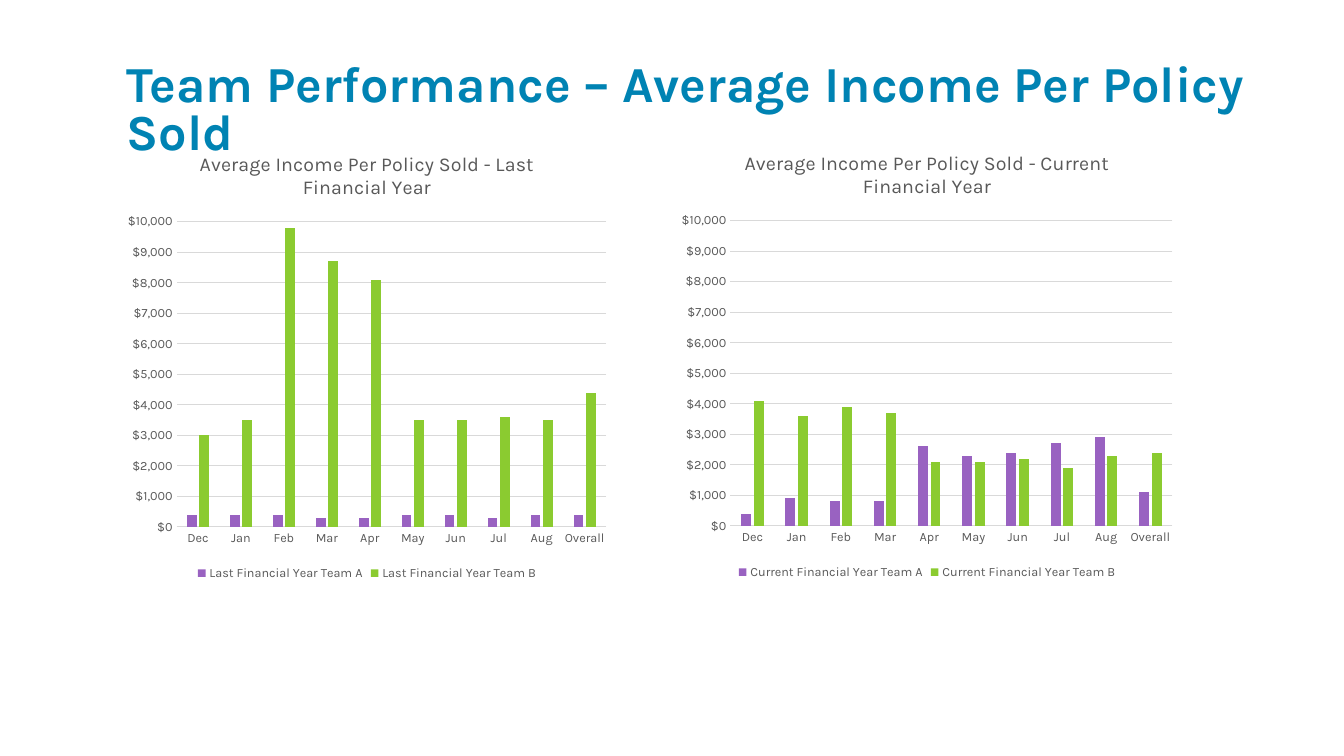
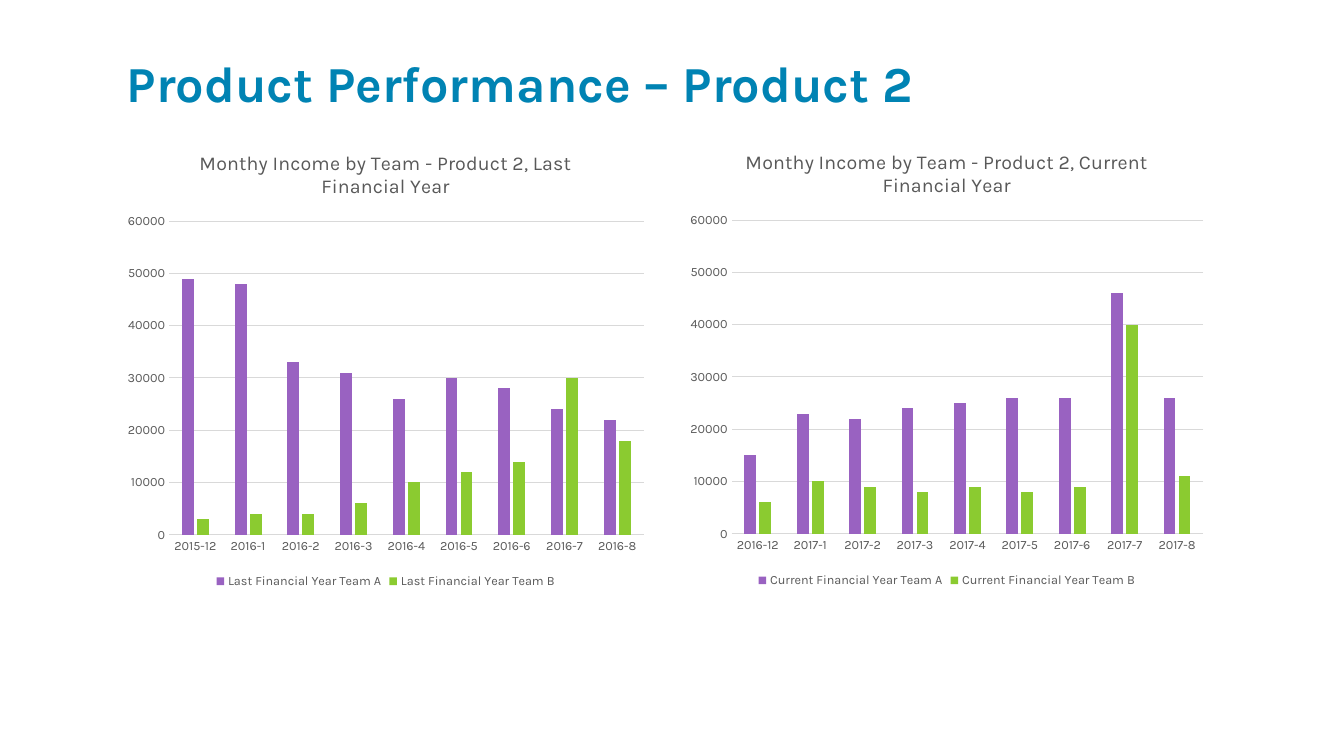
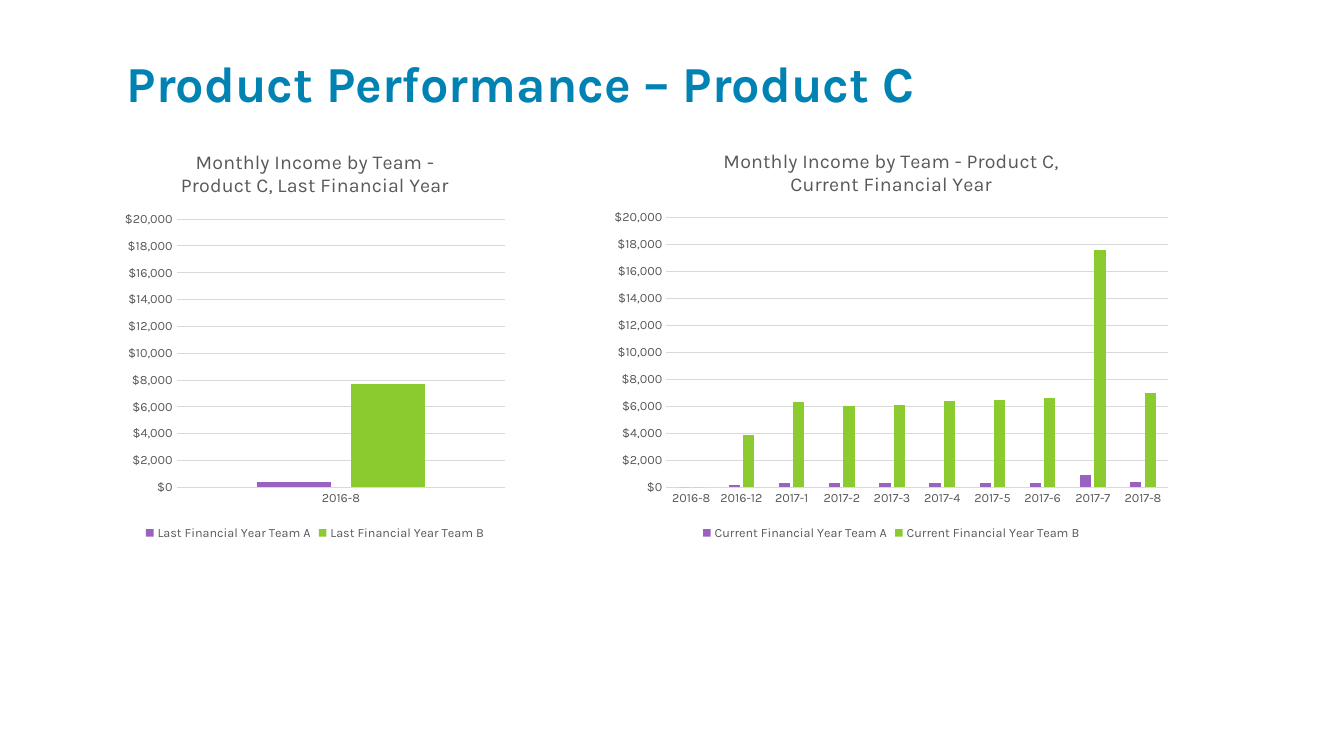
"""Build three slides that compare team income in paired column charts."""
from pptx import Presentation
from pptx.chart.data import CategoryChartData
from pptx.dml.color import RGBColor
from pptx.enum.chart import XL_CHART_TYPE, XL_LEGEND_POSITION, XL_TICK_MARK
from pptx.util import Inches, Pt

BLUE = RGBColor(0x00, 0x83, 0xB3)
PURPLE = RGBColor(0x99, 0x62, 0xC1)
GREEN = RGBColor(0x8B, 0xCB, 0x30)
GREY = RGBColor(0x59, 0x59, 0x59)
PALE = RGBColor(0xD9, 0xD9, 0xD9)
BLACK = RGBColor(0x00, 0x00, 0x00)
FACE = "Karla"
MONEY = "[$$-4809]#,##0"
PLAIN = "General"
MONTHS = ["Dec", "Jan", "Feb", "Mar", "Apr", "May", "Jun", "Jul", "Aug", "Overall"]


def span(year):
    """List the months from December before the year to August."""
    return [f"{year - 1}-12"] + [f"{year}-{month}" for month in range(1, 9)]


def style(font, size, color, bold=False):
    """Set the face, size, colour and weight of a font."""
    font.name, font.size, font.bold = FACE, Pt(size), bold
    font.color.rgb = color


def rule(line):
    """Make a line thin and pale."""
    line.width = Pt(0.75)
    line.color.rgb = PALE


def add_title(slide, text, width):
    """Add the slide title."""
    box = slide.shapes.add_textbox(Inches(1.16), Inches(0.58), Inches(width), Inches(0.73))
    frame = box.text_frame
    frame.word_wrap = True
    para = frame.paragraphs[0]
    para.line_spacing = 0.8
    run = para.add_run()
    run.text = text
    style(run.font, 36, BLUE, True)


def add_head(chart, text):
    """Add the chart title, one paragraph a line."""
    chart.has_title = True
    frame = chart.chart_title.text_frame
    for index, part in enumerate(text.split("\n")):
        para = frame.add_paragraph() if index else frame.paragraphs[0]
        run = para.add_run()
        run.text = part
        style(run.font, 14, GREY)


def set_axes(chart, top, step, form):
    """Style both axes and scale the value axis."""
    for axis in (chart.category_axis, chart.value_axis):
        axis.major_tick_mark = axis.minor_tick_mark = XL_TICK_MARK.NONE
        style(axis.tick_labels.font, 9, GREY)
    rule(chart.category_axis.format.line)
    value = chart.value_axis
    value.format.line.fill.background()
    value.has_major_gridlines = True
    rule(value.major_gridlines.format.line)
    value.minimum_scale, value.maximum_scale, value.major_unit = 0, top, step
    value.tick_labels.number_format = form
    value.tick_labels.number_format_is_linked = False


def add_columns(slide, place, head, year, cats, teams, scale):
    """Add a column chart of both teams for one year."""
    data = CategoryChartData()
    data.categories = cats
    for team, values in zip("AB", teams):
        data.add_series(f"{year} Financial Year Team {team}", values)
    box = [Inches(length) for length in place]
    chart = slide.shapes.add_chart(XL_CHART_TYPE.COLUMN_CLUSTERED, *box, data).chart
    style(chart.font, 10, BLACK)
    add_head(chart, head)
    set_axes(chart, *scale)
    chart.has_legend = True
    chart.legend.position = XL_LEGEND_POSITION.BOTTOM
    chart.legend.include_in_layout = False
    style(chart.legend.font, 9, GREY)
    plot = chart.plots[0]
    plot.gap_width, plot.overlap, plot.vary_by_categories = 219, -27, False
    for series, color in zip(plot.series, (PURPLE, GREEN)):
        series.format.fill.solid()
        series.format.fill.fore_color.rgb = color


def add_page(deck, title, width, scale, last, current):
    """Add a slide with last year's chart beside this year's."""
    slide = deck.slides.add_slide(deck.slide_layouts[6])
    add_title(slide, title, width)
    for year, (place, head, cats, teams) in (("Last", last), ("Current", current)):
        add_columns(slide, place, head, year, cats, teams, scale)


def main():
    """Build and save the deck."""
    deck = Presentation()
    deck.slide_width, deck.slide_height = Inches(13.33), Inches(7.5)
    add_page(
        deck, "Team Performance – Average Income Per Policy Sold", 11.8, (10000, 1000, MONEY),
        ((1.17, 1.32, 4.94, 4.48), "Average Income Per Policy Sold - Last Financial Year", MONTHS,
         ([400, 400, 400, 300, 300, 400, 400, 300, 400, 400],
          [3000, 3500, 9800, 8700, 8100, 3500, 3500, 3600, 3500, 4400])),
        ((6.66, 1.31, 5.07, 4.48), "Average Income Per Policy Sold - Current Financial Year", MONTHS,
         ([400, 900, 800, 800, 2600, 2300, 2400, 2700, 2900, 1100],
          [4100, 3600, 3900, 3700, 2100, 2100, 2200, 1900, 2300, 2400])))
    add_page(
        deck, "Product Performance – Product 2", 9.5, (60000, 10000, PLAIN),
        ((1.16, 1.31, 5.33, 4.57), "Monthy Income by Team - Product 2, Last Financial Year", span(2016),
         ([49000, 48000, 33000, 31000, 26000, 30000, 28000, 24000, 22000],
          [3000, 4000, 4000, 6000, 10000, 12000, 14000, 30000, 18000])),
        ((6.74, 1.3, 5.3, 4.57), "Monthy Income by Team - Product 2, Current Financial Year", span(2017),
         ([15000, 23000, 22000, 24000, 25000, 26000, 26000, 46000, 26000],
          [6000, 10000, 9000, 8000, 9000, 8000, 9000, 40000, 11000])))
    add_page(
        deck, "Product Performance – Product C", 9.5, (20000, 2000, MONEY),
        ((1.16, 1.31, 3.93, 4.09), "Monthly Income by Team - Product C, Last Financial Year", ["2016-8"],
         ([400], [7700])),
        ((5.98, 1.31, 5.72, 4.09), "Monthly Income by Team - Product C,\nCurrent Financial Year",
         ["2016-8"] + span(2017),
         ([0, 200, 300, 300, 300, 300, 300, 300, 900, 400],
          [0, 3900, 6300, 6000, 6100, 6400, 6500, 6600, 17600, 7000])))
    deck.save("out.pptx")


if __name__ == "__main__":
    main()
